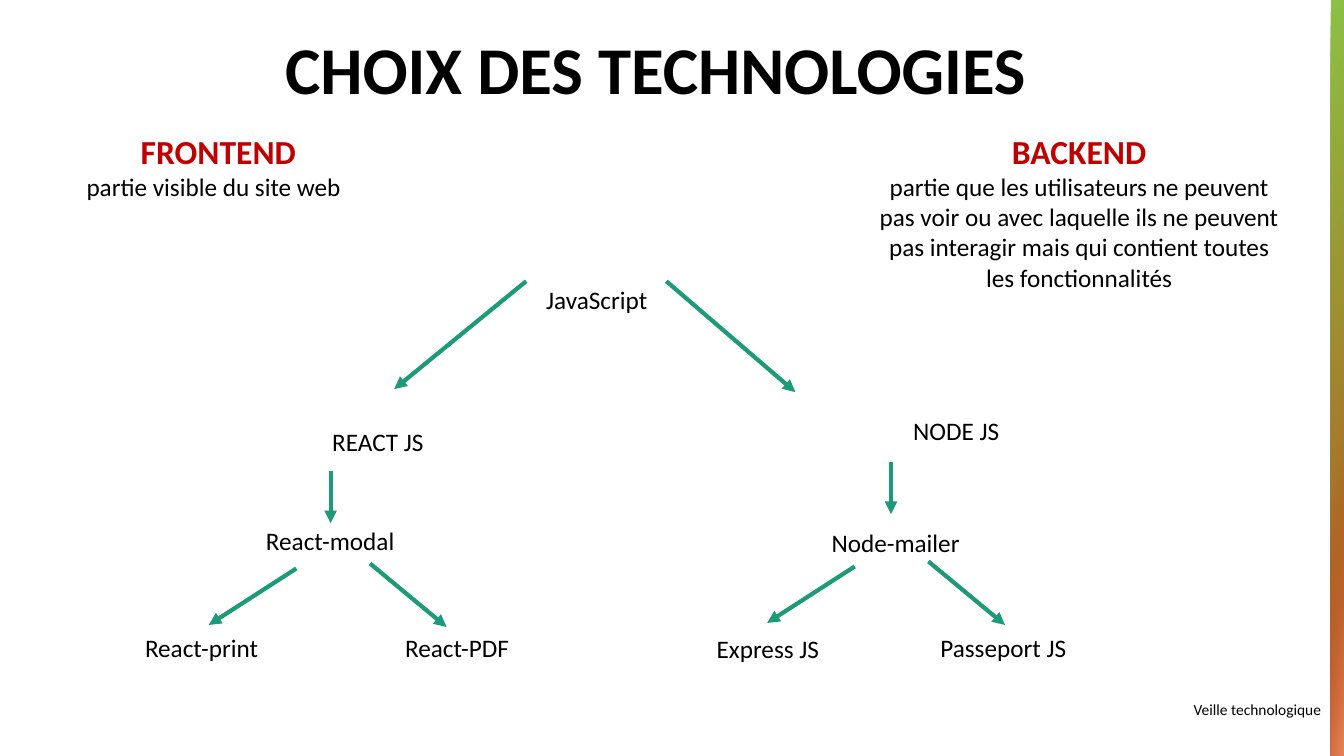
from dataclasses import dataclass

from lxml.etree import SubElement
from pptx import Presentation
from pptx.dml.color import RGBColor
from pptx.enum.shapes import MSO_CONNECTOR, MSO_SHAPE
from pptx.enum.text import MSO_ANCHOR, PP_ALIGN
from pptx.oxml.ns import qn
from pptx.util import Inches, Pt

WIDTH, HEIGHT = Inches(13.33), Inches(7.5)
LINE_HEIGHT = 5.33


@dataclass(frozen=True)
class Theme:
    font: str = "Calibri"
    ink: str = "000000"
    heading: str = "C00000"
    arrow: str = "1D9A78"
    green: str = "8BC145"
    rust: str = "B74919"
    peach: str = "E98960"
    title_size: float = 47.7
    heading_size: int = 24
    body_size: int = 18
    footer_size: int = 11
    arrow_width: int = 3


THEME = Theme()

# Type formats
TITLE = {"size": Pt(THEME.title_size), "bold": True, "color": THEME.ink}
HEADING = {"size": Pt(THEME.heading_size), "bold": True, "color": THEME.heading}
BODY = {"size": Pt(THEME.body_size), "bold": False, "color": THEME.ink}
FOOTER = {"size": Pt(THEME.footer_size), "bold": False, "color": THEME.ink}

# Technology labels: text, left, top, width, alignment
TECHNOLOGIES = [
    ("JavaScript", 39.9, 36.93, 9.68, PP_ALIGN.LEFT),
    ("REACT JS", 22.8, 55.73, 9.45, PP_ALIGN.RIGHT),
    ("NODE JS", 67.2, 54.27, 11.18, PP_ALIGN.LEFT),
    ("React-modal", 19.05, 68.8, 12.3, PP_ALIGN.LEFT),
    ("Node-mailer", 61.13, 69.07, 11.18, PP_ALIGN.LEFT),
    ("React-print", 10.05, 82.93, 12.98, PP_ALIGN.LEFT),
    ("React-PDF", 29.4, 82.93, 9.98, PP_ALIGN.LEFT),
    ("Express JS", 52.58, 83.07, 11.03, PP_ALIGN.LEFT),
    ("Passeport JS", 69.23, 82.93, 12.08, PP_ALIGN.LEFT),
]

# Arrows from the root, then one stem and one fork for each side
ROOT_ARROWS = [((39.15, 37.2), (29.33, 51.47)), ((49.58, 37.2), (59.18, 51.87))]
BRANCHES = [((24.6, 62.27), (24.6, 74.67)), ((66.3, 61.07), (66.15, 74.4))]
STEM_LENGTH = 6.93
FORK_ARMS = [((-2.55, 0.53), (-9.07, 8)), ((2.93, -0.13), (8.63, 8.27))]


def across(share):
    """Percentage of the slide width."""
    return round(WIDTH * share / 100)


def down(share):
    """Percentage of the slide height."""
    return round(HEIGHT * share / 100)


def place(left, top, width, height):
    return across(left), down(top), across(width), down(height)


def add_text(slide, box, lines, line_spacing=None):
    """Each line is a text, a type format and an alignment."""
    frame = slide.shapes.add_textbox(*place(*box)).text_frame
    frame.word_wrap = True
    frame.vertical_anchor = MSO_ANCHOR.TOP
    for index, (text, style, alignment) in enumerate(lines):
        paragraph = frame.add_paragraph() if index else frame.paragraphs[0]
        paragraph.alignment = alignment
        if line_spacing:
            paragraph.line_spacing = line_spacing
        run = paragraph.add_run()
        run.text = text
        values = {"name": THEME.font, **style}
        run.font.color.rgb = RGBColor.from_string(values.pop("color"))
        for name, value in values.items():
            setattr(run.font, name, value)


def add_gradient_bar(slide, box, stops, angle):
    """Each stop is a position, a colour and an opacity."""
    shape = slide.shapes.add_shape(MSO_SHAPE.RECTANGLE, *place(*box))
    shape.shadow.inherit = False
    shape.line.fill.background()
    shape.fill.gradient()
    shape.fill.gradient_angle = 360 - angle
    elements = shape.fill._fill._gradFill.findall(".//" + qn("a:gs"))
    for stop, element, (position, color, opacity) in zip(
        shape.fill.gradient_stops, elements, stops
    ):
        stop.position = position
        stop.color.rgb = RGBColor.from_string(color)
        if opacity < 1:
            alpha = SubElement(element.find(qn("a:srgbClr")), qn("a:alpha"))
            alpha.set("val", str(round(opacity * 100000)))


def add_arrow(slide, start, end):
    connector = slide.shapes.add_connector(
        MSO_CONNECTOR.STRAIGHT,
        across(start[0]), down(start[1]), across(end[0]), down(end[1]),
    )
    connector.line.color.rgb = RGBColor.from_string(THEME.arrow)
    connector.line.width = Pt(THEME.arrow_width)
    SubElement(connector.line._get_or_add_ln(), qn("a:tailEnd")).set("type", "triangle")
    SubElement(connector._element.spPr, qn("a:effectLst"))


def add_branch(slide, stem, fork):
    """A stem pointing down, then two arms spreading from the fork."""
    add_arrow(slide, stem, (stem[0], stem[1] + STEM_LENGTH))
    for arm in FORK_ARMS:
        start, end = [(fork[0] + x, fork[1] + y) for x, y in arm]
        add_arrow(slide, start, end)


def main():
    presentation = Presentation()
    presentation.slide_width, presentation.slide_height = WIDTH, HEIGHT
    slide = presentation.slides.add_slide(presentation.slide_layouts[6])

    # Title
    add_text(slide, (9.38, 4.27, 78.83, 18.67),
             [("CHOIX DES TECHNOLOGIES", TITLE, PP_ALIGN.CENTER)], 0.9)

    # Coloured edge
    add_gradient_bar(slide, (99, 0, 1, 100),
                     [(0, THEME.green, 1), (1, THEME.rust, 1)], 30)
    add_gradient_bar(slide, (99, 51.5, 1, 48.5),
                     [(0.27, THEME.rust, 0), (1, THEME.peach, 1)], 10)

    # Both sides of the site
    add_text(slide, (5.7, 16.67, 21.08, 10.8), [
        ("FRONTEND", HEADING, PP_ALIGN.CENTER),
        ("partie visible du site web", BODY, PP_ALIGN.LEFT),
    ])
    add_text(slide, (64.58, 16.67, 31.43, 22.93), [
        ("BACKEND", HEADING, PP_ALIGN.CENTER),
        ("partie que les utilisateurs ne peuvent pas voir ou avec laquelle "
         "ils ne peuvent pas interagir mais qui contient toutes les "
         "fonctionnalités", BODY, PP_ALIGN.CENTER),
    ])

    # Technology tree
    for text, left, top, width, alignment in TECHNOLOGIES:
        add_text(slide, (left, top, width, LINE_HEIGHT), [(text, BODY, alignment)])
    for start, end in ROOT_ARROWS:
        add_arrow(slide, start, end)
    for stem, fork in BRANCHES:
        add_branch(slide, stem, fork)

    # Footer
    add_text(slide, (87.15, 92, 12.83, 3.87),
             [("Veille technologique", FOOTER, PP_ALIGN.CENTER)])

    presentation.save("out.pptx")


if __name__ == "__main__":
    main()
